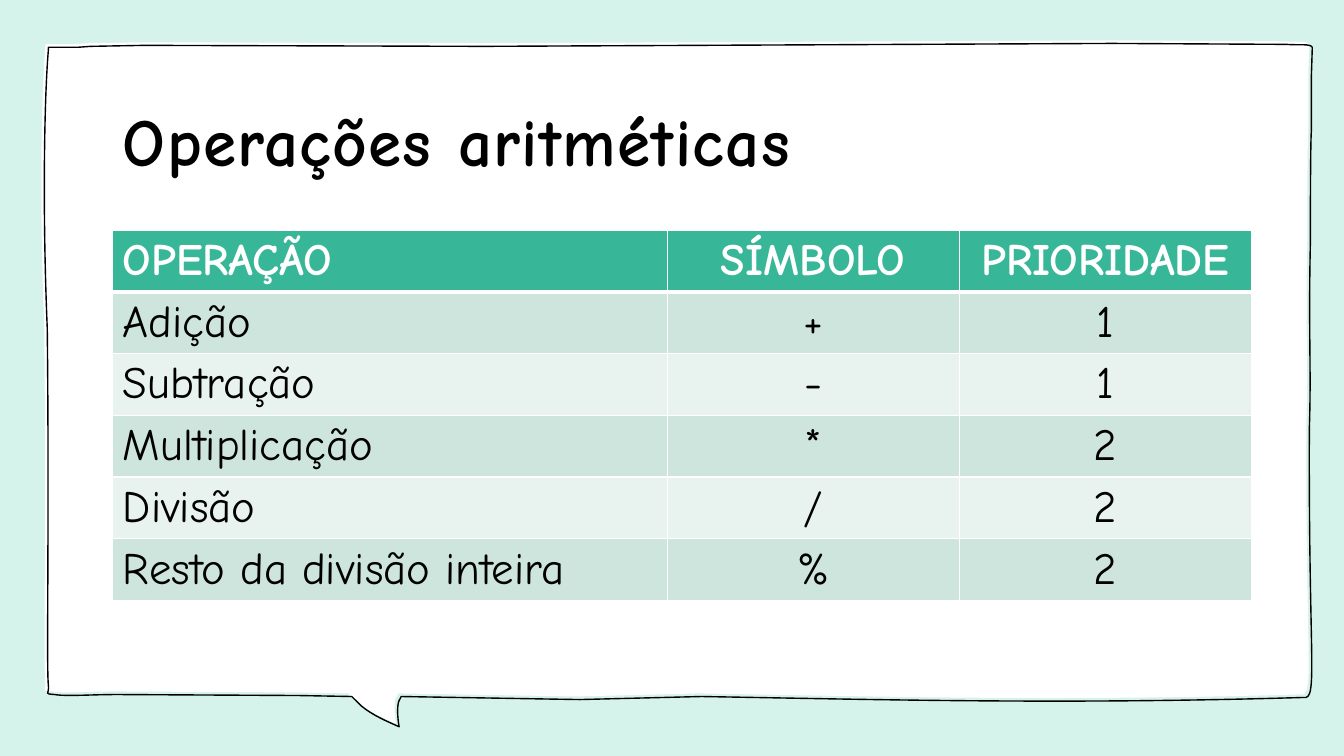
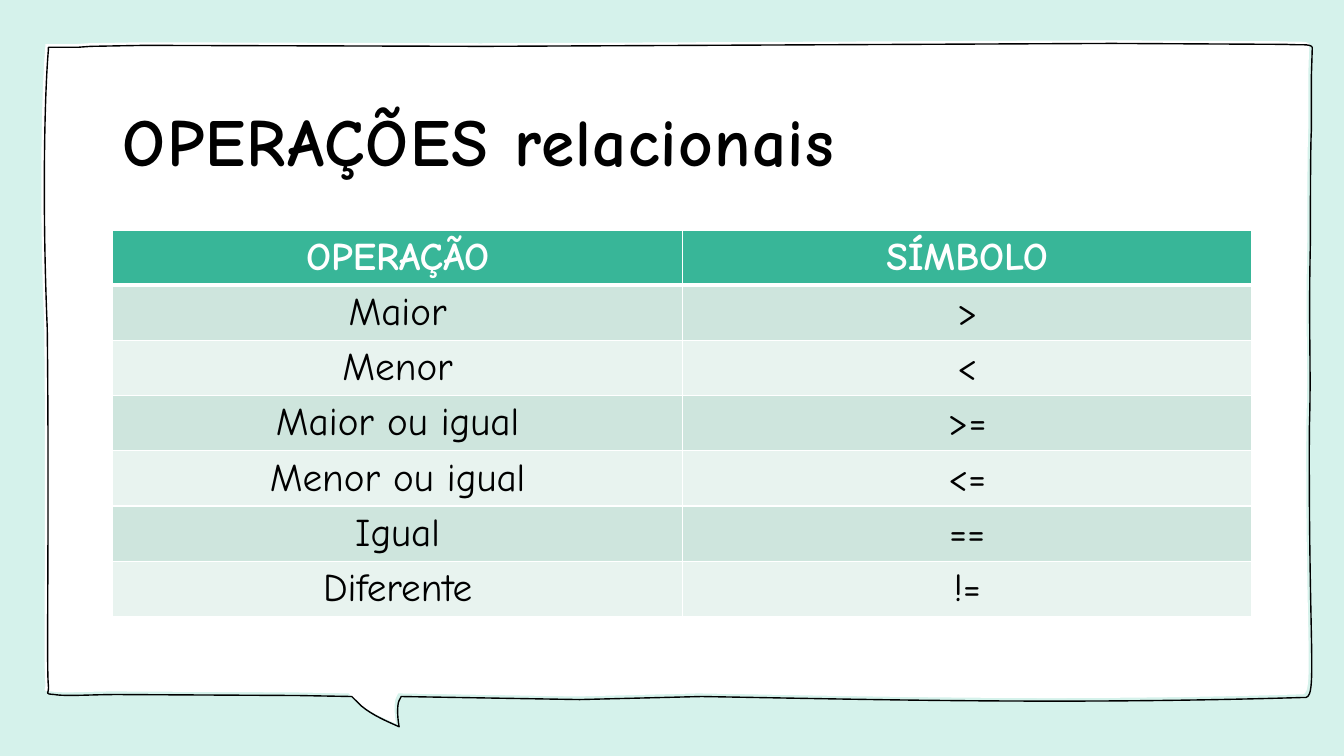
from dataclasses import dataclass

from lxml import etree
from pptx import Presentation
from pptx.dml.color import RGBColor
from pptx.enum import text
from pptx.oxml import ns
from pptx.util import Pt


@dataclass(frozen=True)
class Theme:
    font: str = "Comic Neue"
    mint: RGBColor = RGBColor.from_string("D5F2EB")
    green: RGBColor = RGBColor.from_string("38B698")
    bands: tuple = (RGBColor.from_string("E8F3EF"), RGBColor.from_string("CEE5DD"))
    white: RGBColor = RGBColor.from_string("FFFFFF")
    black: RGBColor = RGBColor.from_string("000000")
    title_size: float = 48
    thin: float = 1
    thick: float = 3


THEME = Theme()
LEFT, WIDTH = 80.6, 813.6
TITLE_TOP, TITLE_HEIGHT, TABLE_TOP = 43.9, 111.6, 164.4
LINE_SPACING, CELL_MARGINS = 1.2, 7.2
MIN_ROW_HEIGHT = 29.2  # rows grow to fit their text
START_LEFT, CENTER = text.PP_ALIGN.LEFT, text.PP_ALIGN.CENTER

# Speech bubble, clockwise from the top: one point is a line, three are a Bézier curve.
BUBBLE_START = (794.2, 31)
BUBBLE = [
    [(918.7, 31.7)],
    [(928.1, 32.4), (936, 31), (937.4, 33.8)],
    [(936.7, 55.4)],
    [(936.7, 67.7), (936.7, 81.4), (936.7, 93.6)],
    [(936, 102.2), (936, 169.2), (936, 174.2)],
    [(934.6, 237.6), (936.7, 262.8), (935.3, 306)],
    [(934.6, 472.3), (941.8, 500.4), (931, 498.2)],
    [(760.3, 503.3), (627.8, 499.7), (501.1, 497.5)],
    [(414, 499.7)],
    [(286.6, 497.5)],
    [(285.1, 500.4)],
    [(283.7, 503.3), (283.7, 511.2), (285.1, 519.1)],
    [(277.2, 515.5), (266.4, 511.2), (257.8, 504)],
    [(251.3, 497.5)],
    [(213.1, 496.8)],
    [(84.2, 496.1)],
    [(64.8, 496.1), (47.5, 497.5), (38.9, 496.1)],
    [(31, 495.4), (35.3, 496.1), (34.6, 489.6)],
    [(33.1, 478.8), (35.3, 375.8), (33.8, 234.7)],
    [(30.2, 149), (31.7, 69.1), (34.6, 35.3)],
    [(34.6, 34.6), (34.6, 34.6), (34.6, 33.8)],
    [(38.9, 33.8)],
    [(55.4, 33.8)],
    [(64.8, 33.1)],
    [(103, 32.4)],
    [(345.6, 33.1)],
    [BUBBLE_START],
]
FILL_SHIFT = -2.2

# Title, type size, column widths, column alignments, rows
SLIDES = [
    ("Operações aritméticas", 32, (396, 208.8, 208.8), (START_LEFT, CENTER, CENTER), [
        ("OPERAÇÃO", "SÍMBOLO", "PRIORIDADE"),
        ("Adição", "+", "1"),
        ("Subtração", "-", "1"),
        ("Multiplicação", "*", "2"),
        ("Divisão", "/", "2"),
        ("Resto da divisão inteira", "%", "2"),
    ]),
    ("OPERAÇÕES relacionais", 28, (406.8, 406.8), (CENTER, CENTER), [
        ("OPERAÇÃO", "SÍMBOLO"),
        ("Maior", ">"),
        ("Menor", "<"),
        ("Maior ou igual", ">="),
        ("Menor ou igual", "<="),
        ("Igual", "=="),
        ("Diferente", "!="),
    ]),
]


def style_paragraph(para, size, color, bold, alignment):
    para.alignment = alignment
    para.font.name = THEME.font
    para.font.size = Pt(size)
    para.font.bold = bold
    para.font.color.rgb = color


def add_border(properties, side, width):
    """Draw one white edge of a table cell; side is L, R, T or B."""
    line = etree.SubElement(properties, ns.qn(f"a:ln{side}"), w=str(Pt(width)))
    fill = etree.SubElement(line, ns.qn("a:solidFill"))
    etree.SubElement(fill, ns.qn("a:srgbClr"), val=str(THEME.white))


deck = Presentation()
deck.slide_width, deck.slide_height = Pt(960), Pt(540)
layout = deck.slide_layouts.get_by_name("Title Only")
layout.background.fill.solid()
layout.background.fill.fore_color.rgb = THEME.mint
for holder in list(layout.placeholders)[1:]:
    holder.element.getparent().remove(holder.element)

pages = [deck.slides.add_slide(layout) for _ in SLIDES]

# The bubble is drawn on a page, then moved to the layout that all pages share.
builder = pages[0].shapes.build_freeform(*map(Pt, BUBBLE_START))
builder.add_line_segments([(Pt(x), Pt(y)) for segment in BUBBLE for x, y in segment])
paper = builder.convert_to_shape(Pt(FILL_SHIFT), Pt(FILL_SHIFT))
paper.fill.solid()
paper.fill.fore_color.rgb = THEME.white
paper.line.fill.background()
contour = builder.convert_to_shape()
contour.fill.background()
contour.line.color.rgb = THEME.black
contour.line.width = Pt(THEME.thin)
for position, shape in enumerate((paper, contour), start=2):
    shape.shadow.inherit = False
    lines = iter(list(shape.element.iter(ns.qn("a:lnTo"))))
    for segment in BUBBLE:
        steps = [next(lines) for _ in segment]
        if len(steps) == 3:
            curve = etree.Element(ns.qn("a:cubicBezTo"))
            steps[0].addprevious(curve)
            for step in steps:
                curve.append(step[0])
                step.getparent().remove(step)
    layout.shapes.element.insert(position, shape.element)

for page, (heading, size, widths, alignments, rows) in zip(pages, SLIDES):
    title = page.shapes.title
    title.left, title.top = Pt(LEFT), Pt(TITLE_TOP)
    title.width, title.height = Pt(WIDTH), Pt(TITLE_HEIGHT)
    title.text_frame.text = heading
    title.text_frame.auto_size = text.MSO_AUTO_SIZE.NONE
    title.text_frame.vertical_anchor = text.MSO_ANCHOR.MIDDLE
    para = title.text_frame.paragraphs[0]
    style_paragraph(para, THEME.title_size, THEME.black, True, START_LEFT)
    para.runs[0].font._element.set("spc", "100")

    frame = page.shapes.add_table(len(rows), len(widths), Pt(LEFT), Pt(TABLE_TOP),
                                  Pt(WIDTH), Pt(MIN_ROW_HEIGHT * len(rows)))
    frame.height = Pt((size * LINE_SPACING + CELL_MARGINS) * len(rows))
    table = frame.table
    for column, width in zip(table.columns, widths):
        column.width = Pt(width)
    cells = zip(table.iter_cells(), frame.element.iter(ns.qn("a:tc")))
    for index, (cell, element) in enumerate(cells):
        row, column = divmod(index, len(widths))
        header = row == 0
        properties = element.get_or_add_tcPr()
        for side in "LRTB":
            under_header = (row, side) in ((0, "B"), (1, "T"))
            add_border(properties, side, THEME.thick if under_header else THEME.thin)
        cell.fill.solid()
        cell.fill.fore_color.rgb = THEME.green if header else THEME.bands[row % 2]
        cell.text = rows[row][column]
        style_paragraph(cell.text_frame.paragraphs[0], size,
                        THEME.white if header else THEME.black, header, alignments[column])

deck.save("out.pptx")
